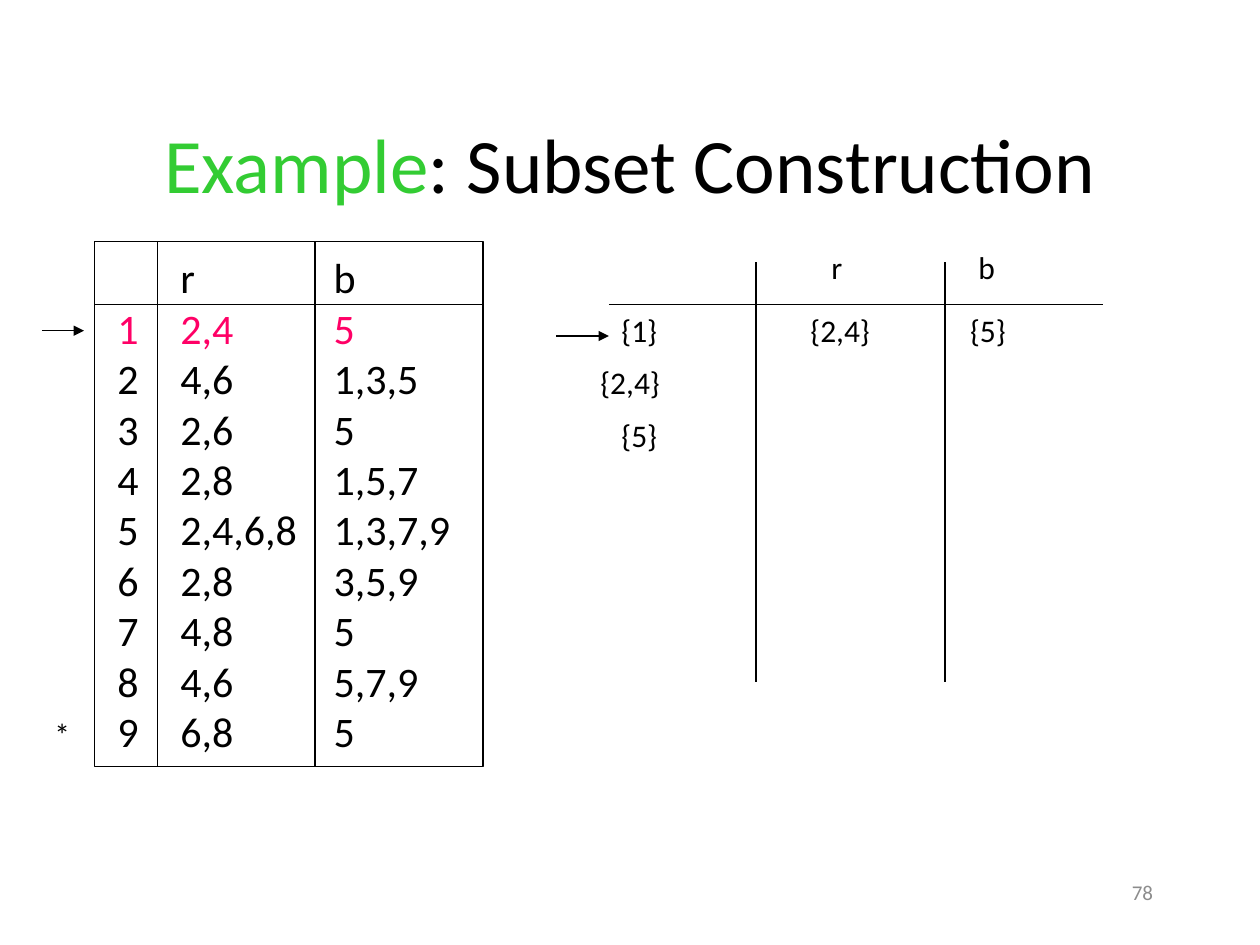
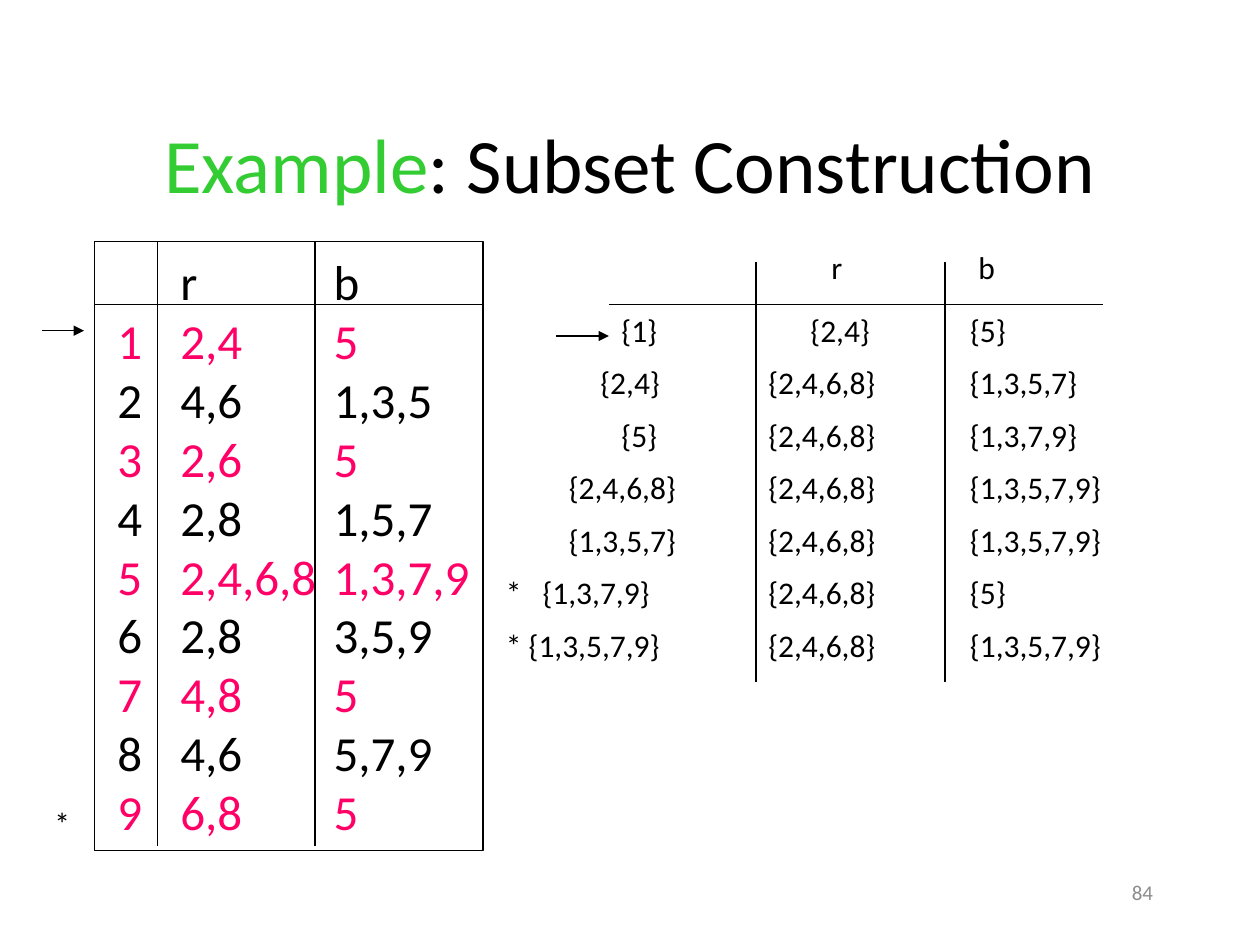
from lxml import etree
from pptx import Presentation, util as u
from pptx.dml.color import RGBColor
from pptx.enum import shapes, text
from pptx.oxml.ns import qn

COLUMNS, ROWS = 120, 90
WIDTH, HEIGHT = u.Inches(10), u.Inches(7.5)
TITLE_ONLY = 5
FONT = "Calibri"
BLACK, GREEN, PINK, GREY = "000000", "33CC33", "FF0066", "8C8C8C"

NFA_MOVES = [("2,4", "5"), ("4,6", "1,3,5"), ("2,6", "5"), ("2,8", "1,5,7"),
             ("2,4,6,8", "1,3,7,9"), ("2,8", "3,5,9"), ("4,8", "5"),
             ("4,6", "5,7,9"), ("6,8", "5")]

# Left column of each subset, its label, and its moves on r and b
DFA_ROWS = [(58, "{1}", "{2,4}", "{5}"),
            (56, "{2,4}", "{2,4,6,8}", "{1,3,5,7}"),
            (58, "{5}", "{2,4,6,8}", "{1,3,7,9}"),
            (53, "{2,4,6,8}", "{2,4,6,8}", "{1,3,5,7,9}"),
            (53, "{1,3,5,7}", "{2,4,6,8}", "{1,3,5,7,9}"),
            (47, "*\t{1,3,7,9}", "{2,4,6,8}", "{5}"),
            (47, "* {1,3,5,7,9}", "{2,4,6,8}", "{1,3,5,7,9}")]


def rgb(value):
    return RGBColor.from_string(value)


def x(columns):
    return round(WIDTH * columns / COLUMNS)


def y(rows):
    return round(HEIGHT * rows / ROWS)


class Deck:
    """Holds the shared style and the current slide; lengths are grid units."""

    def __init__(self):
        self.presentation = Presentation()
        self.presentation.slide_width = WIDTH
        self.presentation.slide_height = HEIGHT
        self.slide = None

    def style(self, font, size, color):
        font.name = FONT
        font.size = u.Pt(size)
        font.color.rgb = rgb(color)

    def add_slide(self, number):
        layout = self.presentation.slide_layouts[TITLE_ONLY]
        self.slide = self.presentation.slides.add_slide(layout)
        self.text(86, 82, 25, 6, [(str(number), GREY)], size=12,
                  align=text.PP_ALIGN.RIGHT, anchor=text.MSO_ANCHOR.MIDDLE)

    def title(self, highlight, rest):
        shape = self.slide.shapes.title
        shape.left, shape.top, shape.width, shape.height = x(9), y(8), x(102), y(15)
        shape.text_frame.vertical_anchor = text.MSO_ANCHOR.MIDDLE
        paragraph = shape.text_frame.paragraphs[0]
        paragraph.alignment = text.PP_ALIGN.CENTER
        for words, color in ((highlight, GREEN), (rest, BLACK)):
            run = paragraph.add_run()
            run.text = words
            self.style(run.font, 44, color)

    def text(self, left, top, width, height, lines, size=18, tabs=(),
             align=text.PP_ALIGN.LEFT, anchor=text.MSO_ANCHOR.TOP):
        """Write (words, color) lines; tabs are grid columns of the slide."""
        shape = self.slide.shapes.add_textbox(x(left), y(top), x(width), y(height))
        frame = shape.text_frame
        frame.word_wrap = True
        frame.vertical_anchor = anchor
        for index, (words, color) in enumerate(lines):
            paragraph = frame.add_paragraph() if index else frame.paragraphs[0]
            paragraph.text = words
            paragraph.alignment = align
            if tabs:
                stops = [x(tab - left) - frame.margin_left for tab in tabs]
                self.tab_stops(paragraph, stops)
            self.style(paragraph.font, size, color)

    def tab_stops(self, paragraph, stops):
        properties = paragraph._p.get_or_add_pPr()
        tab_list = etree.SubElement(properties, qn("a:tabLst"))
        for stop in stops:
            etree.SubElement(tab_list, qn("a:tab"), pos=str(stop), algn="l")

    def outline(self, left, top, width, height):
        shape = self.slide.shapes.add_shape(
            shapes.MSO_SHAPE.RECTANGLE, x(left), y(top), x(width), y(height))
        shape.shadow.inherit = False
        shape.fill.background()
        shape.line.color.rgb = rgb(BLACK)
        shape.line.width = u.Pt(0.75)

    def line(self, left, top, right, bottom, arrow=False):
        connector = self.slide.shapes.add_connector(
            shapes.MSO_CONNECTOR.STRAIGHT, x(left), y(top), x(right), y(bottom))
        connector.line.color.rgb = rgb(BLACK)
        connector.line.width = u.Pt(0.75)
        properties = connector._element.spPr
        if arrow:
            etree.SubElement(properties.find(qn("a:ln")), qn("a:tailEnd"), type="triangle")
        etree.SubElement(properties, qn("a:effectLst"))

    def nfa_table(self, size, bottom, line_bottom, star_top, marked):
        lines = [("\tr\tb", BLACK)]
        for state, (on_r, on_b) in enumerate(NFA_MOVES, 1):
            color = PINK if state in marked else BLACK
            lines.append((f"{state}\t{on_r}\t{on_b}", color))
        self.text(10, 23.4, 40, bottom - 23.4, lines, size, tabs=(17.2, 31.8))
        self.outline(9, 23, 37, bottom - 23)
        for column in (15, 30):
            self.line(column, 23, column, line_bottom)
        self.line(9, 29, 46, 29)
        self.line(4, 31.5, 8, 31.5, arrow=True)
        self.text(4, star_top, 5, 6, [("*", BLACK)])

    def dfa_table(self, expanded):
        """Show the subsets; only the first `expanded` rows have their moves."""
        self.text(78, 23, 24, 6, [("r\tb", BLACK)], tabs=(93.2,))
        self.line(58, 29, 105, 29)
        for column in (72, 90):
            self.line(column, 25, column, 65)
        self.line(53, 32, 58, 32, arrow=True)
        shown = DFA_ROWS if expanded > 1 else DFA_ROWS[:3]
        for index, (left, subset, on_r, on_b) in enumerate(shown):
            top = 29 + 5 * index
            self.text(left, top, 72 - left, 6, [(subset, BLACK)], tabs=(51.7,) if "\t" in subset else ())
            if index < expanded:
                moves_left = 72 if index else 76
                self.text(moves_left, top, 108 - moves_left, 5,
                          [(f"{on_r}\t{on_b}", BLACK)], tabs=(92.4,))


def main():
    deck = Deck()
    steps = [
        (78, dict(size=24, bottom=73, line_bottom=73, star_top=67.5, marked={1}), 1),
        (84, dict(size=28, bottom=81, line_bottom=80.6, star_top=76,
                  marked={1, 3, 5, 7, 9}), len(DFA_ROWS)),
    ]
    for number, nfa, expanded in steps:
        deck.add_slide(number)
        deck.title("Example", ": Subset Construction")
        deck.nfa_table(**nfa)
        deck.dfa_table(expanded)
    deck.presentation.save("out.pptx")


if __name__ == "__main__":
    main()
